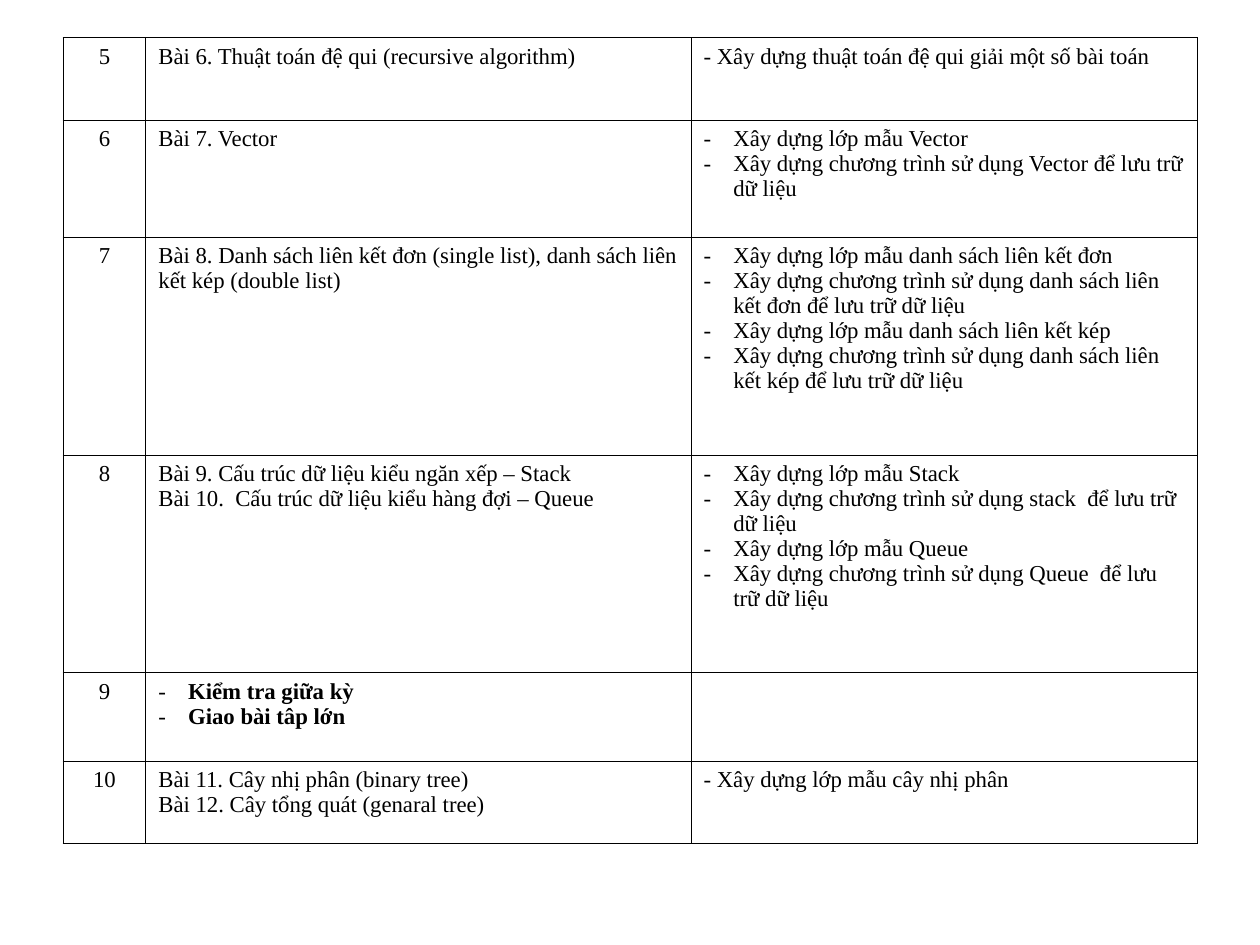
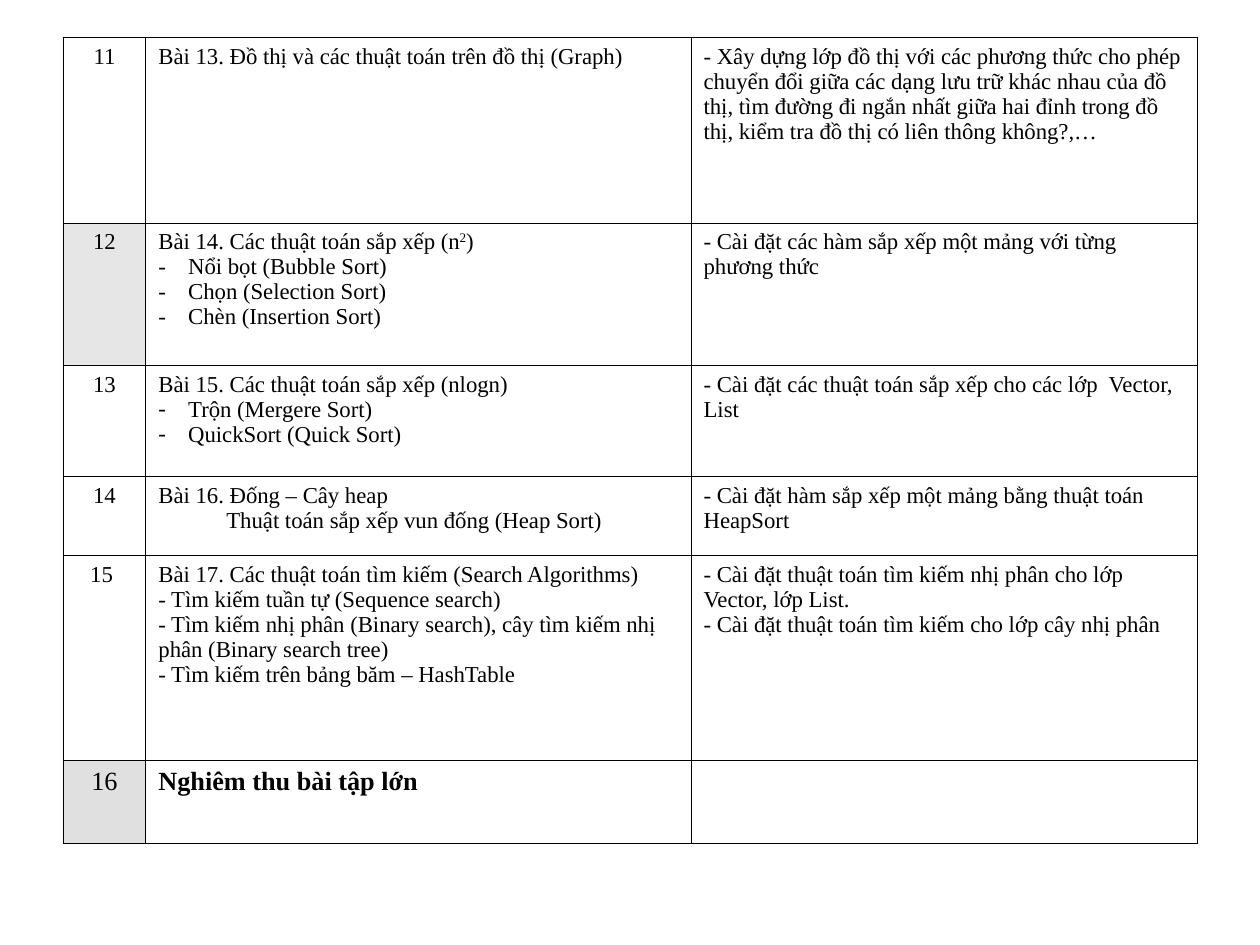
"""Build two slides of a data structures course schedule."""

from dataclasses import dataclass

from lxml import etree
from pptx import Presentation
from pptx.dml.color import RGBColor
from pptx.enum.text import PP_ALIGN
from pptx.oxml.ns import qn
from pptx.util import Cm, Pt

BLACK = RGBColor(0x00, 0x00, 0x00)
WHITE = RGBColor(0xFF, 0xFF, 0xFF)
LIGHT_GREY = RGBColor(0xE6, 0xE6, 0xE6)
GREY = RGBColor(0xE0, 0xE0, 0xE0)
CENTER = PP_ALIGN.CENTER
LEFT = PP_ALIGN.LEFT
FONT = "Times New Roman"
BORDER_WIDTH = Pt(0.45)
BULLET_INDENT = Cm(0.6)
CONTINUATION_INDENT = Cm(1.37)
TABLE_LEFT = Cm(1.27)
TABLE_TOP = Cm(0.76)
COLUMN_WIDTHS = (Cm(1.67), Cm(10.99), Cm(10.2))
BLANK_LAYOUT = 6


@dataclass(frozen=True)
class Line:
    """One paragraph of a cell."""

    text: str
    bullet: bool = False
    continuation: bool = False
    superscript: str = ""
    tail: str = ""


@dataclass(frozen=True)
class Week:
    """One row of the schedule."""

    number: str
    height: Cm
    lessons: tuple[Line, ...]
    exercises: tuple[Line, ...] = ()
    number_fill: RGBColor = WHITE
    size: int = 13
    bold_lessons: bool = False


def plain(*texts: str) -> tuple[Line, ...]:
    """Return plain lines."""
    return tuple(Line(text) for text in texts)


def bullets(*texts: str) -> tuple[Line, ...]:
    """Return lines that start with a hanging dash."""
    return tuple(Line(text, bullet=True) for text in texts)


FIRST_HALF = (
    Week("5", Cm(1.67), plain("Bài 6. Thuật toán đệ qui (recursive algorithm)"),
         plain("- Xây dựng thuật toán đệ qui giải một số bài toán")),
    Week("6", Cm(2.35), plain("Bài 7. Vector"),
         bullets("Xây dựng lớp mẫu Vector",
                 "Xây dựng chương trình sử dụng Vector để lưu trữ dữ liệu")),
    Week("7", Cm(4.39),
         plain("Bài 8. Danh sách liên kết đơn (single list), danh sách liên kết kép (double list)"),
         bullets("Xây dựng lớp mẫu danh sách liên kết đơn",
                 "Xây dựng chương trình sử dụng danh sách liên kết đơn để lưu trữ dữ liệu",
                 "Xây dựng lớp mẫu danh sách liên kết kép",
                 "Xây dựng chương trình sử dụng danh sách liên kết kép để lưu trữ dữ liệu")),
    Week("8", Cm(4.39),
         plain("Bài 9. Cấu trúc dữ liệu kiểu ngăn xếp – Stack",
               "Bài 10.  Cấu trúc dữ liệu kiểu hàng đợi – Queue"),
         bullets("Xây dựng lớp mẫu Stack",
                 "Xây dựng chương trình sử dụng stack  để lưu trữ dữ liệu",
                 "Xây dựng lớp mẫu Queue",
                 "Xây dựng chương trình sử dụng Queue  để lưu trữ dữ liệu")),
    Week("9", Cm(1.78), bullets("Kiểm tra giữa kỳ", "Giao bài tâp lớn"), bold_lessons=True),
    Week("10", Cm(1.67),
         plain("Bài 11. Cây nhị phân (binary tree)", "Bài 12. Cây tổng quát (genaral tree)"),
         plain("- Xây dựng lớp mẫu cây nhị phân")),
)

SECOND_HALF = (
    Week("11", Cm(3.74), plain("Bài 13. Đồ thị và các thuật toán trên đồ thị (Graph)"),
         plain("- Xây dựng lớp đồ thị với các phương thức cho phép chuyển đổi giữa các dạng "
               "lưu trữ khác nhau của đồ thị, tìm đường đi ngắn nhất giữa hai đỉnh trong đồ thị, "
               "kiểm tra đồ thị có liên thông không?,…")),
    Week("12", Cm(2.87),
         (Line("Bài 14. Các thuật toán sắp xếp (n", superscript="2", tail=")"),
          *bullets("Nổi bọt (Bubble Sort)", "Chọn (Selection Sort)", "Chèn (Insertion Sort)")),
         plain("- Cài đặt các hàm sắp xếp một mảng với từng phương thức"),
         number_fill=LIGHT_GREY),
    Week("13", Cm(2.24),
         (Line("Bài 15. Các thuật toán sắp xếp (nlogn)"),
          *bullets("Trộn (Mergere Sort)", "QuickSort (Quick Sort)")),
         plain("- Cài đặt các thuật toán sắp xếp cho các lớp  Vector, List")),
    Week("14", Cm(1.59),
         (Line("Bài 16. Đống – Cây heap"),
          Line("Thuật toán sắp xếp vun đống (Heap Sort)", continuation=True)),
         plain("- Cài đặt hàm sắp xếp một mảng bằng thuật toán HeapSort")),
    Week("15 ", Cm(4.13),
         plain("Bài 17. Các thuật toán tìm kiếm (Search Algorithms)",
               "- Tìm kiếm tuần tự (Sequence search)",
               "- Tìm kiếm nhị phân (Binary search), cây tìm kiếm nhị phân (Binary search tree)",
               "- Tìm kiếm trên bảng băm – HashTable"),
         plain("- Cài đặt thuật toán tìm kiếm nhị phân cho lớp Vector, lớp List.",
               "- Cài đặt thuật toán tìm kiếm cho lớp cây nhị phân")),
    Week("16", Cm(1.67), plain("Nghiêm thu bài tập lớn"),
         number_fill=GREY, size=15, bold_lessons=True),
)


def set_borders(cell) -> None:
    """Give a cell a thin black line on every side."""
    properties = cell._tc.get_or_add_tcPr()
    for side in ("lnL", "lnR", "lnT", "lnB"):
        border = etree.SubElement(properties, qn(f"a:{side}"), w=str(BORDER_WIDTH))
        fill = etree.SubElement(border, qn("a:solidFill"))
        etree.SubElement(fill, qn("a:srgbClr"), val=str(BLACK))


def indent_paragraph(paragraph, line: Line) -> None:
    """Apply the dash or the first-line indent of a line."""
    properties = paragraph._p.get_or_add_pPr()
    if line.bullet:
        properties.set("marL", str(BULLET_INDENT))
        properties.set("indent", str(-BULLET_INDENT))
        etree.SubElement(properties, qn("a:buFont"), typeface=FONT)
        etree.SubElement(properties, qn("a:buChar"), char="-")
    elif line.continuation:
        properties.set("marL", "0")
        properties.set("indent", str(CONTINUATION_INDENT))


def write_line(paragraph, line: Line, size: int, bold: bool, alignment: PP_ALIGN) -> None:
    """Write and format one paragraph."""
    paragraph.text = line.text
    paragraph.alignment = alignment
    indent_paragraph(paragraph, line)
    if line.superscript:
        raised = paragraph.add_run()
        raised.text = line.superscript
        raised._r.get_or_add_rPr().set("baseline", "30000")
        paragraph.add_run().text = line.tail
    for run in paragraph.runs:
        run.font.name = FONT
        run.font.size = Pt(size)
        run.font.bold = bold
        run.font.color.rgb = BLACK


def fill_cell(cell, lines: tuple[Line, ...], size: int, bold: bool = False,
              alignment: PP_ALIGN = LEFT, fill: RGBColor = WHITE) -> None:
    """Draw a cell with its borders, fill and lines."""
    set_borders(cell)
    cell.fill.solid()
    cell.fill.fore_color.rgb = fill
    text_frame = cell.text_frame
    for index, line in enumerate(lines):
        paragraph = text_frame.add_paragraph() if index else text_frame.paragraphs[0]
        write_line(paragraph, line, size, bold, alignment)


def add_schedule(slide, weeks: tuple[Week, ...]) -> None:
    """Add the schedule table to a slide."""
    table = slide.shapes.add_table(
        len(weeks), len(COLUMN_WIDTHS), TABLE_LEFT, TABLE_TOP,
        sum(COLUMN_WIDTHS), sum(week.height for week in weeks)).table
    table.first_row = False
    table.horz_banding = False
    for column, width in zip(table.columns, COLUMN_WIDTHS):
        column.width = width
    for row, week in zip(table.rows, weeks):
        row.height = week.height
        number, lessons, exercises = row.cells
        fill_cell(number, plain(week.number), week.size,
                  alignment=CENTER, fill=week.number_fill)
        fill_cell(lessons, week.lessons, week.size, bold=week.bold_lessons)
        fill_cell(exercises, week.exercises, week.size)


def main() -> None:
    """Build and save the presentation."""
    presentation = Presentation()
    presentation.slide_width = Cm(25.4)
    presentation.slide_height = Cm(19.05)
    for weeks in (FIRST_HALF, SECOND_HALF):
        slide = presentation.slides.add_slide(presentation.slide_layouts[BLANK_LAYOUT])
        add_schedule(slide, weeks)
    presentation.save("out.pptx")


if __name__ == "__main__":
    main()
